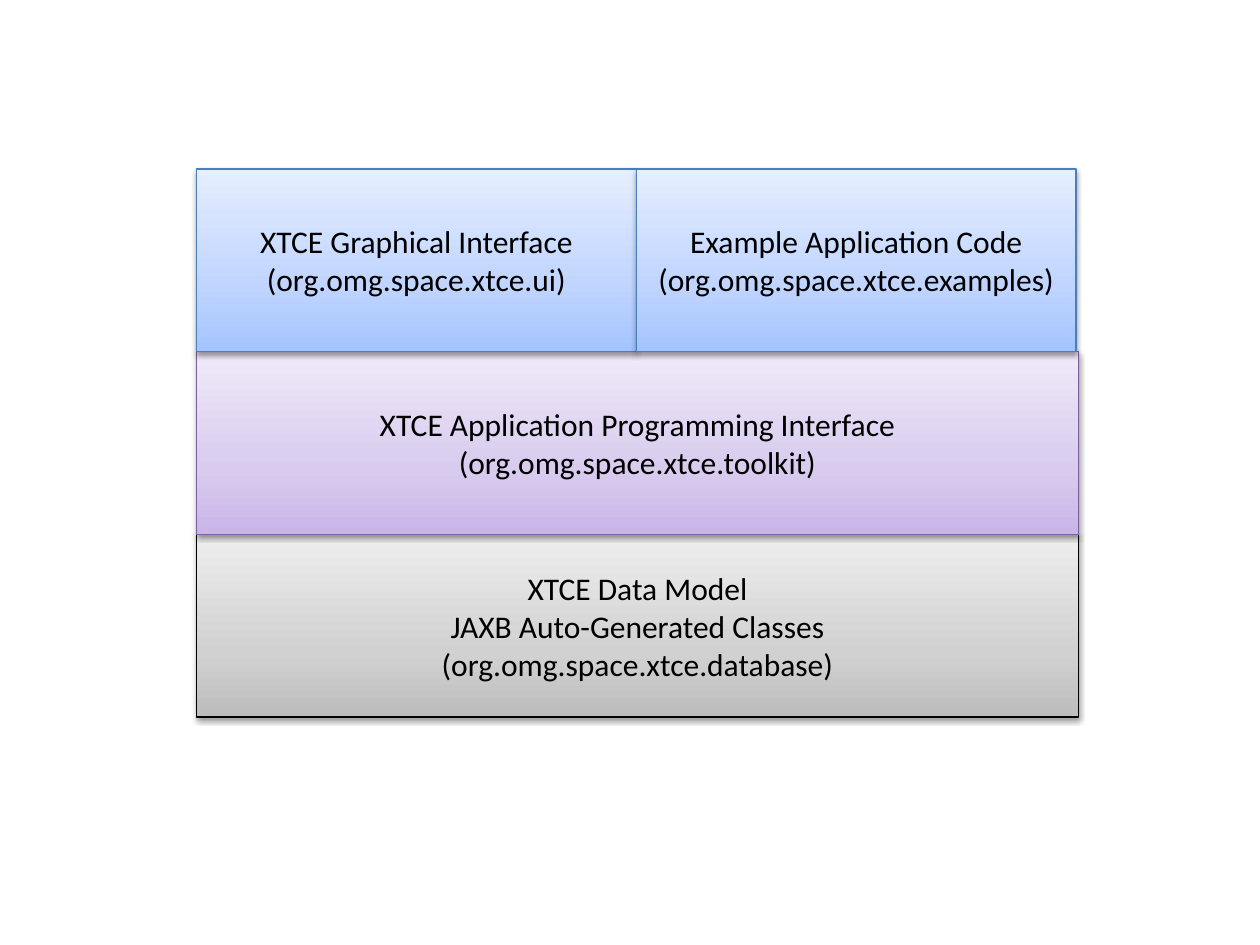
import copy
import dataclasses

import lxml.etree
import pptx
import pptx.dml.color
import pptx.enum.shapes
import pptx.enum.text
import pptx.oxml.ns
import pptx.util

Inches = pptx.util.Inches
Pt = pptx.util.Pt
qn = pptx.oxml.ns.qn

LEFT, TOP = 1.56, 1.34
LAYER_WIDTH, LAYER_HEIGHT = 7, 1.45
HALF_WIDTH = 3.49
STOP_POSITIONS = (0, 0.35, 1)
TEXT_FORMAT = {"name": "Calibri", "size": Pt(18)}


@dataclasses.dataclass(frozen=True)
class Theme:
    stops: tuple[str, str, str]
    outline: str


@dataclasses.dataclass(frozen=True)
class Block:
    row: int
    column: int
    width: float
    theme: Theme
    lines: tuple[str, ...]


BLUE = Theme(("A4C4FF", "BFD4FF", "E6EEFF"), "4B7EBC")
PURPLE = Theme(("C9B5E8", "D8CBEE", "F0EAF9"), "7D60A0")
GRAY = Theme(("BDBDBD", "D1D1D1", "EEEEEE"), "000000")

# Layers from the bottom of the stack upwards
BLOCKS = (
    Block(2, 0, LAYER_WIDTH, GRAY,
          ("XTCE Data Model", "JAXB Auto-Generated Classes", "(org.omg.space.xtce.database)")),
    Block(1, 0, LAYER_WIDTH, PURPLE,
          ("XTCE Application Programming Interface", "(org.omg.space.xtce.toolkit)")),
    Block(0, 0, HALF_WIDTH, BLUE,
          ("XTCE Graphical Interface", "(org.omg.space.xtce.ui)")),
    Block(0, 1, HALF_WIDTH, BLUE,
          ("Example Application Code", "(org.omg.space.xtce.examples)")),
)


def color(value: str) -> pptx.dml.color.RGBColor:
    return pptx.dml.color.RGBColor.from_string(value)


def fill_gradient(shape, stops: tuple[str, str, str]) -> None:
    shape.fill.gradient()
    shape.fill.gradient_angle = 90
    stop_list = shape.element.spPr.find(".//" + qn("a:gsLst"))
    stop_list.insert(1, copy.deepcopy(stop_list[0]))
    for stop, position, value in zip(shape.fill.gradient_stops, STOP_POSITIONS, stops):
        stop.position = position
        stop.color.rgb = color(value)


def add_shadow(shape) -> None:
    shape.shadow.inherit = False
    effects = shape.element.spPr.find(qn("a:effectLst"))
    shadow = lxml.etree.SubElement(
        effects, qn("a:outerShdw"), blurRad=str(Pt(3.1)), dist=str(Pt(1.6)),
        dir="5400000", rotWithShape="0")
    shade = lxml.etree.SubElement(shadow, qn("a:srgbClr"), val="000000")
    lxml.etree.SubElement(shade, qn("a:alpha"), val="38000")


def write_text(shape, lines: tuple[str, ...]) -> None:
    frame = shape.text_frame
    frame.word_wrap = True
    frame.vertical_anchor = pptx.enum.text.MSO_ANCHOR.MIDDLE
    frame.text = "\n".join(lines)
    for paragraph in frame.paragraphs:
        paragraph.alignment = pptx.enum.text.PP_ALIGN.CENTER
        font = paragraph.runs[0].font
        for name, value in TEXT_FORMAT.items():
            setattr(font, name, value)
        font.color.rgb = color("000000")


def add_block(slide, block: Block) -> None:
    shape = slide.shapes.add_shape(
        pptx.enum.shapes.MSO_SHAPE.RECTANGLE,
        Inches(LEFT + block.column * HALF_WIDTH), Inches(TOP + block.row * LAYER_HEIGHT),
        Inches(block.width), Inches(LAYER_HEIGHT))
    fill_gradient(shape, block.theme.stops)
    shape.line.color.rgb = color(block.theme.outline)
    shape.line.width = Pt(0.75)
    add_shadow(shape)
    write_text(shape, block.lines)


# Slide
presentation = pptx.Presentation()
presentation.slide_width = Inches(10)
presentation.slide_height = Inches(7.5)
slide = presentation.slides.add_slide(presentation.slide_layouts[6])

# Architecture stack
for block in BLOCKS:
    add_block(slide, block)

presentation.save("out.pptx")
